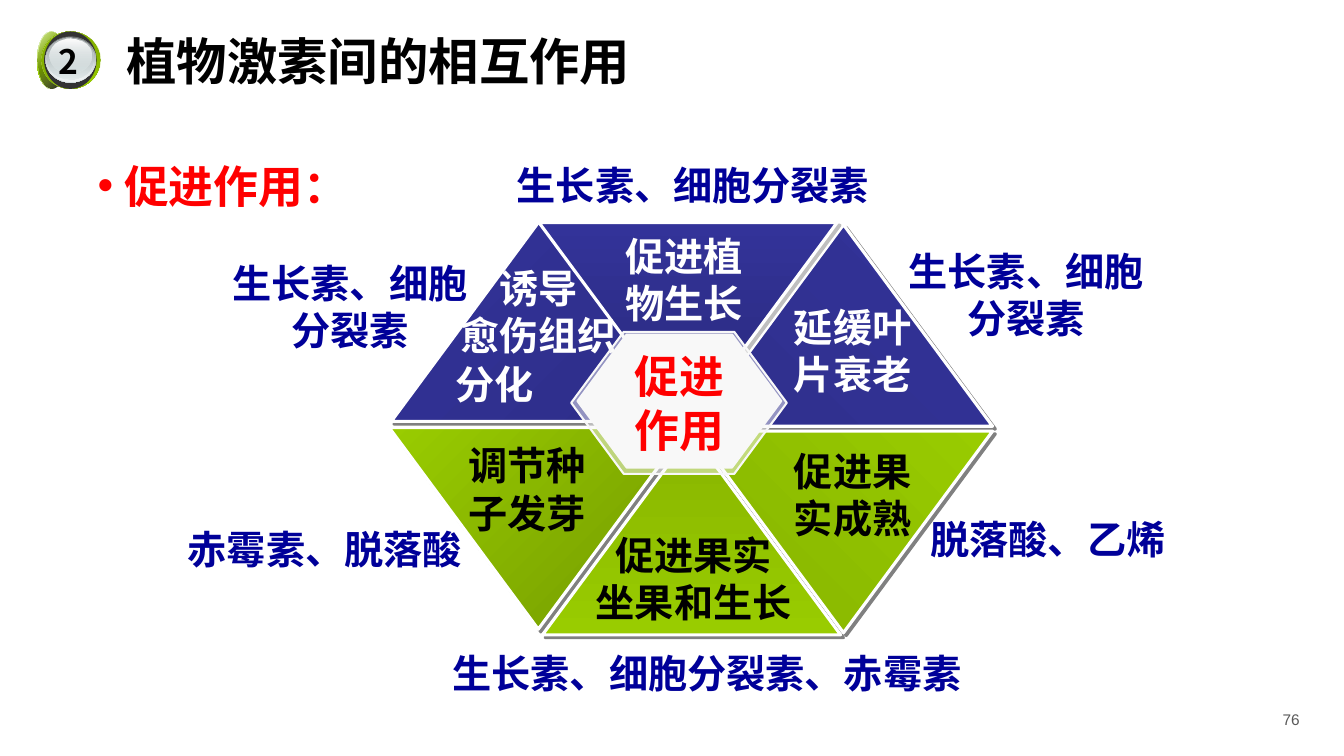
from dataclasses import dataclass

from lxml.etree import SubElement
from pptx import Presentation
from pptx.dml.color import RGBColor
from pptx.enum.shapes import MSO_SHAPE
from pptx.enum.text import MSO_ANCHOR, PP_ALIGN
from pptx.oxml.ns import qn
from pptx.util import Pt


@dataclass(frozen=True)
class Theme:
    latin: str = "Arial"
    chinese: str = "Noto Sans CJK SC"
    white: str = "FFFFFF"
    black: str = "000000"
    red: str = "FF0000"
    navy: str = "000099"
    blue: str = "333399"
    green: str = "99CC00"
    pale: str = "F8F8F8"
    silver: str = "D6E1E2"
    rim: str = "333333"
    shadow: str = "808080"
    grey: str = "595959"
    title_size: int = 36
    heading_size: int = 32
    label_size: int = 28
    badge_size: int = 24
    page_size: int = 11


class HormoneSlide:
    """Draws the elements of one slide in a shared theme."""

    def __init__(self, deck, theme):
        self.theme = theme
        self.slide = deck.slides.add_slide(deck.slide_layouts[1])

    def style(self, paragraph, size, color, font, bold=True):
        paragraph.font.size = Pt(size)
        paragraph.font.bold = bold
        paragraph.font.color.rgb = RGBColor.from_string(color)
        paragraph.font.name = font
        defaults = paragraph._p.pPr.find(qn("a:defRPr"))
        SubElement(defaults, qn("a:ea"), typeface=self.theme.chinese)

    def place(self, shape, box):
        shape.left, shape.top, shape.width, shape.height = map(Pt, box)

    def title(self, text, box):
        heading = self.slide.shapes.title
        self.place(heading, box)
        heading.text_frame.text = text
        heading.text_frame.vertical_anchor = MSO_ANCHOR.MIDDLE
        paragraph = heading.text_frame.paragraphs[0]
        paragraph.alignment = PP_ALIGN.LEFT
        self.style(paragraph, self.theme.title_size, self.theme.black, self.theme.chinese)

    def bullet(self, text, box, indent):
        topic = self.slide.placeholders[1]
        self.place(topic, box)
        topic.text_frame.text = text
        paragraph = topic.text_frame.paragraphs[0]
        paragraph.space_before = Pt(0)
        properties = paragraph._p.get_or_add_pPr()
        properties.set("marL", str(Pt(indent)))
        properties.set("indent", str(-Pt(indent)))
        SubElement(properties, qn("a:buChar"), char="•")
        self.style(paragraph, self.theme.heading_size, self.theme.red, self.theme.chinese)

    def label(self, text, box, color, size=None, font=None, align=PP_ALIGN.CENTER, bold=True):
        frame = self.slide.shapes.add_textbox(*map(Pt, box)).text_frame
        frame.word_wrap = True
        frame.text = text
        for paragraph in frame.paragraphs:
            paragraph.alignment = align
            self.style(paragraph, size or self.theme.label_size, color,
                       font or self.theme.latin, bold)

    def add_color(self, parent, color, opacity):
        value = SubElement(parent, qn("a:srgbClr"), val=color)
        if opacity < 100:
            SubElement(value, qn("a:alpha"), val=str(opacity * 1000))

    def gradient(self, shape, stops, angle):
        shape.fill.gradient()
        fill = shape._element.spPr.find(qn("a:gradFill"))
        fill.find(qn("a:lin")).set("ang", str(angle * 60000))
        stop_list = fill.find(qn("a:gsLst"))
        stop_list.clear()
        for index, (color, opacity) in enumerate(stops):
            position = 100000 * index // (len(stops) - 1)
            stop = SubElement(stop_list, qn("a:gs"), pos=str(position))
            self.add_color(stop, color, opacity)

    def solid(self, shape, color, opacity=100):
        shape.fill.solid()
        shape.fill.fore_color.rgb = RGBColor.from_string(color)
        if opacity < 100:
            value = shape._element.spPr.find(qn("a:solidFill"))[0]
            SubElement(value, qn("a:alpha"), val=str(opacity * 1000))

    def shape(self, kind, box, line=None, width=0):
        shape = self.slide.shapes.add_shape(kind, *map(Pt, box))
        shape.shadow.inherit = False
        if line:
            shape.line.color.rgb = RGBColor.from_string(line)
            shape.line.width = Pt(width)
        else:
            shape.line.fill.background()
        return shape

    def wedge(self, left, top, start, end, angle, flipped, shadow_opacity=100):
        triangle = self.shape(MSO_SHAPE.ISOSCELES_TRIANGLE, (left, top, 213, 144),
                              self.theme.white, 2.25)
        self.gradient(triangle, [(start, 100), (end, 100)], angle)
        properties = triangle._element.spPr
        if flipped:
            properties.find(qn("a:xfrm")).set("flipV", "1")
        shadow = SubElement(properties.find(qn("a:effectLst")), qn("a:outerShdw"),
                            dist=str(Pt(2.8)), dir=str(45 * 60000),
                            algn="ctr", rotWithShape="0")
        self.add_color(shadow, self.theme.shadow, shadow_opacity)

    def hexagon(self, box, opacity):
        hub = self.shape(MSO_SHAPE.HEXAGON, box, self.theme.pale, 1.5)
        hub.adjustments[0] = 0.37
        self.solid(hub, self.theme.pale, opacity)

    def disc(self, box, stops, angle=0):
        ellipse = self.shape(MSO_SHAPE.OVAL, box)
        if len(stops) == 1:
            self.solid(ellipse, *stops[0])
        else:
            self.gradient(ellipse, stops, angle)


def main():
    theme = Theme()
    deck = Presentation()
    deck.slide_width, deck.slide_height = Pt(960), Pt(540)
    page = HormoneSlide(deck, theme)

    page.title("植物激素间的相互作用", (83, 11.5, 864, 62.5))
    page.bullet("促进作用：", (62.5, 109.5, 215, 46), 19)

    for wedge in [
        (278, 305.5, theme.green, "729800", 315, True),
        (496, 160.5, "2F2F8D", theme.blue, 315, False),
        (279.5, 157, theme.blue, "2D2D88", 45, False),
        (385, 159, "29297B", theme.blue, 90, True, 50),
        (387.5, 309.5, "88B500", theme.green, 90, False),
        (496, 308, "85B200", theme.green, 45, True),
    ]:
        page.wedge(*wedge)

    for effect, box, color in [
        ("促进植物生长", (431, 162.5, 115, 75), theme.white),
        ("延缓叶片衰老", (551.5, 213, 115, 75), theme.white),
        ("促进果实成熟", (551.5, 316, 115, 75), theme.black),
        ("促进果实\n坐果和生长", (412.5, 376, 166, 75), theme.black),
        ("调节种子发芽", (319, 312, 115, 75), theme.black),
        ("诱导\n愈伤组织", (314.5, 185, 140, 75), theme.white),
        ("分化", (283.5, 253.5, 140, 41), theme.white),
    ]:
        page.label(effect, box, color)

    for hormones, box in [
        ("生长素、细胞分裂素", (350, 111.5, 290, 41)),
        ("生长素、细胞分裂素", (634.5, 173, 197, 75)),
        ("脱落酸、乙烯", (654, 364.5, 189, 41)),
        ("生长素、细胞分裂素、赤霉素", (314.5, 460, 381, 41)),
        ("赤霉素、脱落酸", (119, 371.5, 226, 41)),
        ("生长素、细胞分裂素", (149, 181.5, 202, 75)),
    ]:
        page.label(hormones, box, theme.navy)

    page.hexagon((408, 237, 154, 101.5), 50)
    page.hexagon((412.5, 239, 145.5, 95), 100)
    page.label("促进作用", (433.5, 245.5, 104, 85), theme.red,
               theme.heading_size, theme.chinese)

    side, face = (26.5, 22.5, 20, 41), (29.5, 22.5, 42, 41)
    for disc in [
        (side, [(theme.white, 100), (theme.green, 100), (theme.white, 100)], 45),
        (side, [(theme.green, 32), (theme.black, 90)], 45),
        (face, [("759C00", 100), (theme.green, 100), ("759C00", 100)], 315),
        (face, [("7EA700", 100), (theme.green, 0)], 45),
        ((31.5, 22.5, 37.5, 41), [(theme.rim, 100)]),
        ((32.5, 26, 36, 33), [("636869", 100), (theme.silver, 100)], 90),
        ((32.5, 26, 35.5, 32.5), [(theme.silver, 0), ("F1F5F5", 100)], 90),
        ((33, 26.5, 34, 30), [("AAB2B3", 100), (theme.silver, 48)], 90),
        ((35.5, 27.5, 30, 24.5), [(theme.white, 100), (theme.silver, 38)], 90),
    ]:
        page.disc(*disc)
    page.label("2", (34.5, 26, 27, 36), theme.black, theme.badge_size, theme.chinese)
    page.label("76", (888.5, 504, 47, 31), theme.grey, theme.page_size,
               align=PP_ALIGN.RIGHT, bold=False)

    deck.save("out.pptx")


if __name__ == "__main__":
    main()
